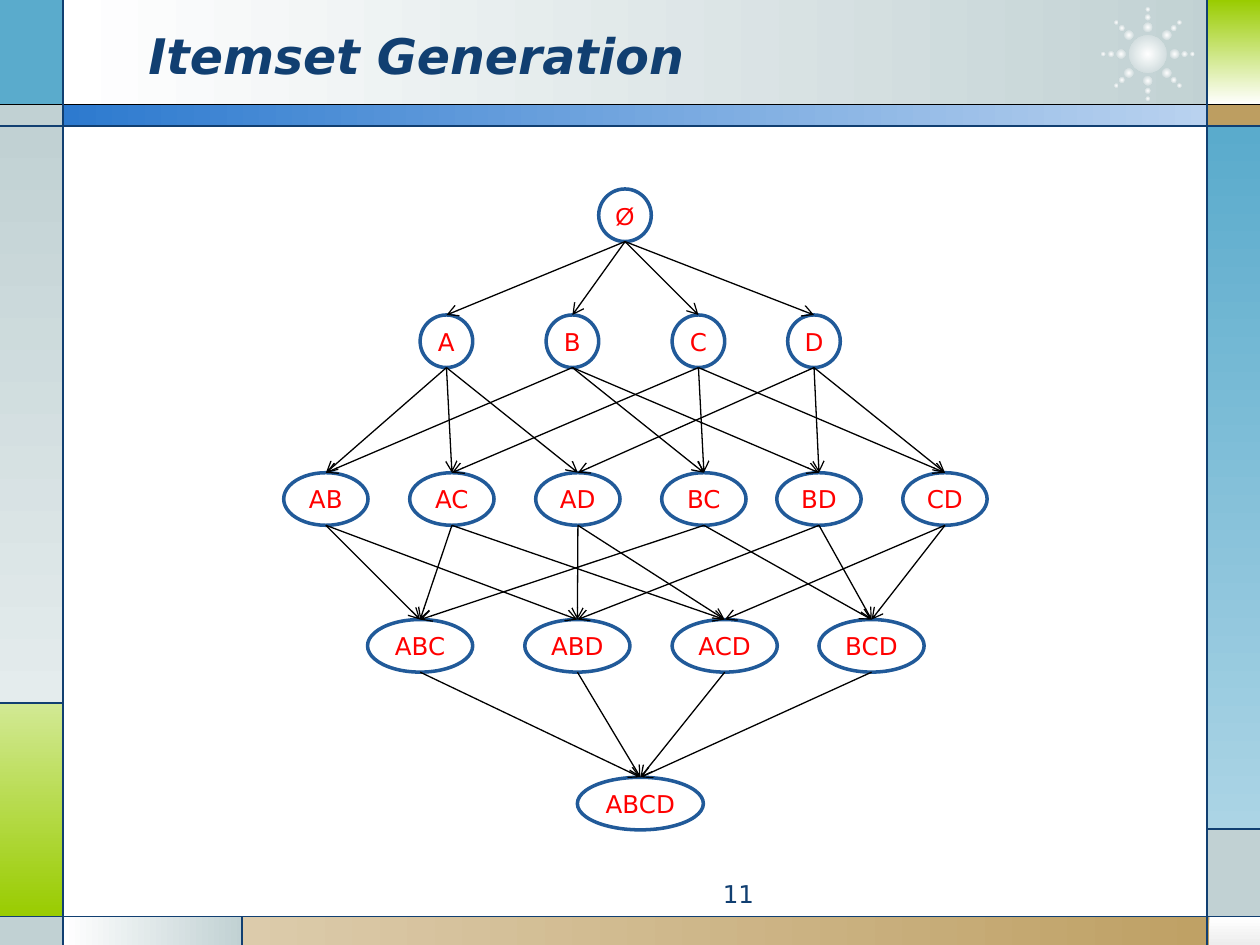
import math

import pptx
import pptx.dml.color
import pptx.enum.shapes
import pptx.enum.text
import pptx.oxml
import pptx.oxml.ns
import pptx.util

Cm = pptx.util.Cm
Shape = pptx.enum.shapes.MSO_SHAPE
Align = pptx.enum.text.PP_ALIGN
Anchor = pptx.enum.text.MSO_ANCHOR

COLORS = {
    "white": "FFFFFF", "black": "000000", "silver": "EDEDED",
    "navy": "113F71", "outline": "215A99", "red": "FF0000",
    "teal": "5AABCC", "pale teal": "ABD4E5",
    "gray": "C1D1D3", "pale gray": "E4ECED",
    "green": "99CC00", "pale green": "D2E994",
    "tan": "BD9E61", "pale tan": "DCCBAB",
    "blue": "2D7ACF", "pale blue": "B9D2EF",
}
RIGHT, DOWN = 0, 270

PANELS = [
    (1.27, 0, 23.55, 2.13, ("white", "gray"), RIGHT),
    (0, 0, 1.27, 2.13, ("teal",), None),
    (0, 2.11, 1.27, 0.43, ("gray",), None),
    (0, 2.54, 1.27, 11.63, ("gray", "pale gray"), DOWN),
    (0, 14.17, 1.27, 4.3, ("pale green", "green"), DOWN),
    (0, 18.48, 1.27, 0.57, ("gray",), None),
    (1.27, 18.47, 3.62, 0.58, ("white", "gray"), RIGHT),
    (4.88, 18.47, 20.52, 0.58, ("pale tan", "tan"), RIGHT),
    (24.38, 18.48, 1.02, 0.57, ("white", "silver"), DOWN),
    (24.35, 16.71, 1.05, 1.77, ("gray",), None),
    (24.33, 2.54, 1.07, 14.17, ("teal", "pale teal"), DOWN),
    (24.33, 2.11, 1.07, 0.43, ("tan",), None),
    (24.35, 0, 1.05, 2.11, ("green", "white"), DOWN),
    (1.27, 2.11, 23.08, 0.43, ("blue", "pale blue"), RIGHT),
]
RULES = [
    (0, 2.11, 25.4, 2.11, "black"),
    (0, 2.54, 25.4, 2.54, "navy"),
    (0, 18.47, 25.4, 18.47, "navy"),
    (1.27, 0, 1.27, 19.05, "navy"),
    (24.33, 0, 24.33, 19.05, "navy"),
    (0, 14.17, 1.27, 14.17, "navy"),
    (4.88, 18.47, 4.88, 19.05, "navy"),
    (24.33, 16.71, 25.4, 16.71, "navy"),
]
NODE_HEIGHT = 1.06
LEVELS = [
    (3.81, 1.06, {"Ø": 12.07}),
    (6.35, 1.06, {"A": 8.47, "B": 11.01, "C": 13.55, "D": 15.88}),
    (9.53, 1.7, {"AB": 5.72, "AC": 8.26, "AD": 10.8,
                 "BC": 13.34, "BD": 15.66, "CD": 18.2}),
    (12.49, 2.12, {"ABC": 7.41, "ABD": 10.58, "ACD": 13.55, "BCD": 16.51}),
    (15.67, 2.54, {"ABCD": 11.64}),
]


def rgb(name):
    return pptx.dml.color.RGBColor.from_string(COLORS[name])


class Painter:
    """Hold the text style and the current page, and draw each kind of element."""

    def __init__(self, page, face="DejaVu Sans"):
        self.page = page
        self.face = face

    def shape(self, kind, left, top, width, height):
        shape = self.page.shapes.add_shape(
            kind, Cm(left), Cm(top), Cm(width), Cm(height))
        shape.shadow.inherit = False
        shape.line.fill.background()
        return shape

    def gradient(self, shape, names, angle):
        shape.fill.gradient()
        shape.fill.gradient_angle = angle
        for stop, name in zip(shape.fill.gradient_stops, names):
            stop.color.rgb = rgb(name)

    def panel(self, left, top, width, height, names, angle):
        panel = self.shape(Shape.RECTANGLE, left, top, width, height)
        if angle is None:
            panel.fill.solid()
            panel.fill.fore_color.rgb = rgb(names[0])
        else:
            self.gradient(panel, names, angle)

    def glow(self, x, y, size):
        dot = self.shape(Shape.OVAL, x - size / 2, y - size / 2, size, size)
        self.gradient(dot, ("white", "gray"), RIGHT)
        linear = dot.element.spPr.find(".//" + pptx.oxml.ns.qn("a:lin"))
        linear.getparent().replace(linear, pptx.oxml.parse_xml(
            f'<a:path {pptx.oxml.ns.nsdecls("a")} path="circle">'
            '<a:fillToRect l="50000" t="50000" r="50000" b="50000"/></a:path>'))

    def line(self, x1, y1, x2, y2, color="black", arrow=False):
        line = self.page.shapes.add_connector(
            pptx.enum.shapes.MSO_CONNECTOR.STRAIGHT, Cm(x1), Cm(y1), Cm(x2), Cm(y2))
        line.line.color.rgb = rgb(color)
        line.line.width = pptx.util.Pt(0.75)
        properties = line.element.spPr
        if arrow:
            properties.find(pptx.oxml.ns.qn("a:ln")).append(pptx.oxml.parse_xml(
                f'<a:tailEnd {pptx.oxml.ns.nsdecls("a")} type="arrow"/>'))
        properties.append(pptx.oxml.parse_xml(
            f'<a:effectLst {pptx.oxml.ns.nsdecls("a")}/>'))

    def paragraph(self, frame, text, size, color, align, face=None):
        para = frame.paragraphs[0]
        para.text = text
        para.alignment = align
        para.font.name = face or self.face
        para.font.size = pptx.util.Pt(size)
        para.font.color.rgb = rgb(color)
        return para

    def text(self, left, top, width, height, text, size, align, anchor):
        box = self.page.shapes.add_textbox(
            Cm(left), Cm(top), Cm(width), Cm(height))
        box.text_frame.word_wrap = True
        box.text_frame.vertical_anchor = anchor
        return self.paragraph(box.text_frame, text, size, "navy", align)

    def node(self, left, top, width, label):
        node = self.shape(Shape.OVAL, left, top, width, NODE_HEIGHT)
        node.fill.background()
        node.line.color.rgb = rgb("outline")
        node.line.width = pptx.util.Pt(2)
        node.text_frame.word_wrap = False
        node.text_frame.vertical_anchor = Anchor.MIDDLE
        face = "Arial" if label == "Ø" else None
        self.paragraph(node.text_frame, label, 14, "red", Align.CENTER, face)


def draw_frame(painter):
    for panel in PANELS:
        painter.panel(*panel)
    x, y = 23.14, 1.09
    painter.glow(x, y, 0.76)
    for ray in range(8):
        angle = math.radians(45 * ray)
        for radius, size in ((0.74, 0.12), (0.9, 0.09), (0.54, 0.19)):
            painter.glow(x + radius * math.cos(angle),
                         y + radius * math.sin(angle), size)
    for rule in RULES:
        painter.line(*rule)


def draw_lattice(painter):
    for top, width, nodes in LEVELS:
        for label, left in nodes.items():
            painter.node(left, top, width, label)
    for upper, lower in zip(LEVELS, LEVELS[1:]):
        upper_top, upper_width, parents = upper
        lower_top, lower_width, children = lower
        for child, child_left in children.items():
            for parent, parent_left in parents.items():
                if set(parent) - {"Ø"} <= set(child):
                    painter.line(parent_left + upper_width / 2,
                                 upper_top + NODE_HEIGHT,
                                 child_left + lower_width / 2,
                                 lower_top, arrow=True)


def main():
    deck = pptx.Presentation()
    deck.slide_width, deck.slide_height = Cm(25.4), Cm(19.05)
    painter = Painter(deck.slides.add_slide(deck.slide_layouts[6]))
    draw_frame(painter)
    title = painter.text(2.74, 0.33, 18.62, 1.57, "Itemset Generation",
                         28, Align.LEFT, Anchor.MIDDLE)
    title.font.bold = title.font.italic = True
    painter.text(9.53, 17.6, 5.92, 0.69, "11", 14, Align.RIGHT, Anchor.TOP)
    draw_lattice(painter)
    deck.save("out.pptx")


if __name__ == "__main__":
    main()
